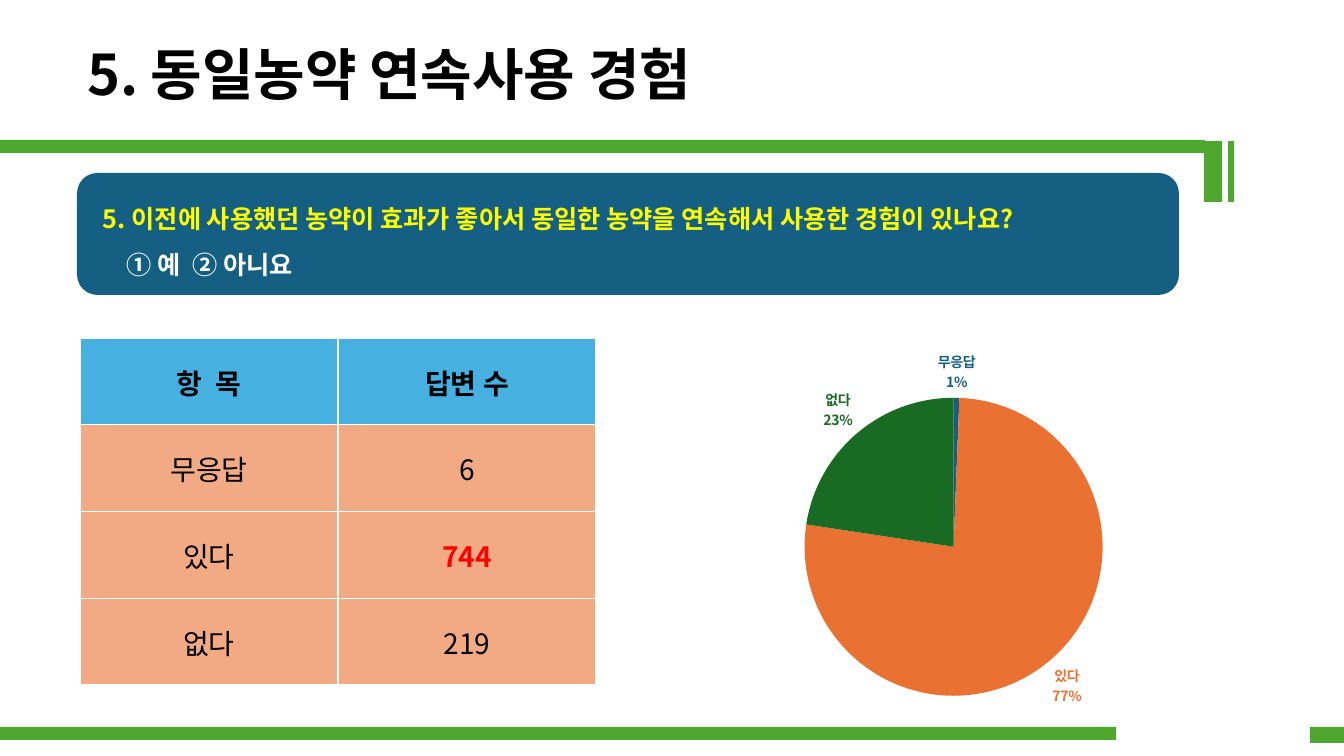
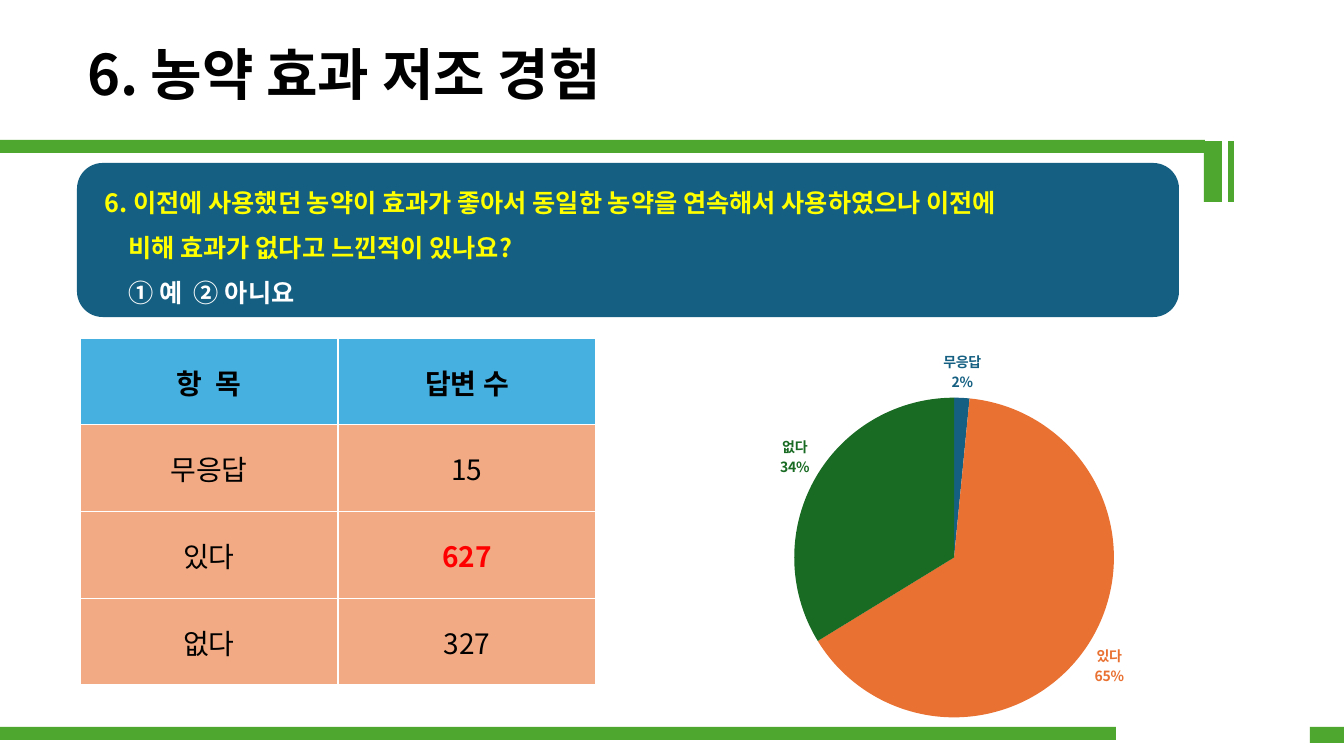
"""Builds two survey result slides, each with a question, an answer table and a pie chart."""
import dataclasses

import lxml.etree
import pptx
import pptx.chart.data
import pptx.dml.color
import pptx.enum.chart
import pptx.enum.shapes
import pptx.enum.text
import pptx.oxml
import pptx.oxml.ns
import pptx.util

HEADERS = ("항  목", "답변 수")
ANSWERS = ("무응답", "있다", "없다")
CHOICES = "① 예  ② 아니요"
KEY_ANSWER = "있다"
SURVEYS = [
    {
        "title": "5. 동일농약 연속사용 경험",
        "question": ["5. 이전에 사용했던 농약이 효과가 좋아서 동일한 농약을 연속해서 사용한 경험이 있나요?"],
        "question_area": (77, 173, 1102, 122),
        "counts": (6, 744, 219),
    },
    {
        "title": "6. 농약 효과 저조 경험",
        "question": [
            "6. 이전에 사용했던 농약이 효과가 좋아서 동일한 농약을 연속해서 사용하였으나 이전에",
            "비해 효과가 없다고 느낀적이 있나요?",
        ],
        "question_area": (77, 163, 1102, 154),
        "counts": (15, 627, 327),
    },
]

PAGE_SIZE = (1344, 756)
TITLE_AREA = (77, 34, 1102, 78)
TABLE_AREA = (80, 338, 516, 347)
CHART_AREA = (596, 338, 714, 397)
BANDS = [
    (0, 727, 1116, 13),
    (1310, 727, 34, 16),
    (0, 140, 1205, 13),
    (1204, 141, 18, 61),
    (1228, 141, 6, 61),
]
FIRST_INDENT, NEXT_INDENT = 10, 34


@dataclasses.dataclass(frozen=True)
class Theme:
    """Fonts, type sizes and colours of the deck."""

    font: str = "Noto Sans CJK KR"
    title_size: int = 40
    question_size: int = 18
    table_size: int = 20
    label_size: int = 10
    ink: str = "000000"
    paper: str = "FFFFFF"
    band: str = "4EA72E"
    panel: str = "156082"
    question: str = "FFFF00"
    header: str = "46B1E1"
    body: str = "F2AA84"
    highlight: str = "FF0000"
    slices: tuple = ("156082", "E97132", "196B24")


THEME = Theme()


def px(length):
    """Turn pixels into EMU."""
    return pptx.util.Emu(round(length * 914400 / 100.8))


def place(area):
    """Turn a pixel area into EMU."""
    return [px(length) for length in area]


def paint(fill, color):
    """Give a fill one solid colour."""
    fill.solid()
    fill.fore_color.rgb = pptx.dml.color.RGBColor.from_string(color)


def style(font, size, color, bold=True):
    """Set typeface, size, colour and weight."""
    font.name = THEME.font
    font.size = pptx.util.Pt(size)
    font.bold = bold
    paint(font.fill, color)
    east_asian = lxml.etree.SubElement(font._rPr, pptx.oxml.ns.qn("a:ea"))
    east_asian.set("typeface", THEME.font)


def add_block(page, kind, area, color):
    """Add a flat shape without outline."""
    block = page.shapes.add_shape(kind, *place(area))
    block.shadow.inherit = False
    paint(block.fill, color)
    block.line.fill.background()
    return block


def add_title(page, text):
    """Fill and place the title."""
    title = page.shapes.title
    title.left, title.top, title.width, title.height = place(TITLE_AREA)
    frame = title.text_frame
    frame.text = text
    frame.word_wrap = True
    frame.auto_size = pptx.enum.text.MSO_AUTO_SIZE.NONE
    frame.vertical_anchor = pptx.enum.text.MSO_ANCHOR.MIDDLE
    para = frame.paragraphs[0]
    para.alignment = pptx.enum.text.PP_ALIGN.LEFT
    style(para.runs[0].font, THEME.title_size, THEME.ink)


def add_question(page, lines, area):
    """Add the panel with the question and its choices."""
    panel = add_block(page, pptx.enum.shapes.MSO_SHAPE.ROUNDED_RECTANGLE, area, THEME.panel)
    frame = panel.text_frame
    frame.text = "\n".join([*lines, CHOICES])
    frame.word_wrap = True
    frame.vertical_anchor = pptx.enum.text.MSO_ANCHOR.MIDDLE
    for index, para in enumerate(frame.paragraphs):
        indent = NEXT_INDENT if index else FIRST_INDENT
        para._p.get_or_add_pPr().set("marL", str(px(indent)))
        para.alignment = pptx.enum.text.PP_ALIGN.LEFT
        para.line_spacing = 1.5
        color = THEME.question if index < len(lines) else THEME.paper
        style(para.runs[0].font, THEME.question_size, color)


def add_borders(cell):
    """Draw a thin border on all four sides of a cell."""
    for side in ("lnL", "lnR", "lnT", "lnB"):
        cell._tc.get_or_add_tcPr().append(pptx.oxml.parse_xml(
            f'<a:{side} {pptx.oxml.ns.nsdecls("a")} w="12700"><a:solidFill>'
            f'<a:srgbClr val="{THEME.paper}"/></a:solidFill></a:{side}>'
        ))


def add_answers(page, counts):
    """Add the table of answer counts."""
    rows = [HEADERS, *zip(ANSWERS, counts)]
    table = page.shapes.add_table(len(rows), len(HEADERS), *place(TABLE_AREA)).table
    for row_index, values in enumerate(rows):
        for column_index, value in enumerate(values):
            cell = table.cell(row_index, column_index)
            is_header = row_index == 0
            is_key = column_index == 1 and values[0] == KEY_ANSWER
            add_borders(cell)
            paint(cell.fill, THEME.header if is_header else THEME.body)
            cell.margin_left = cell.margin_right = cell.margin_top = px(1)
            cell.margin_bottom = 0
            cell.vertical_anchor = pptx.enum.text.MSO_ANCHOR.MIDDLE
            cell.text_frame.text = str(value)
            para = cell.text_frame.paragraphs[0]
            para.alignment = pptx.enum.text.PP_ALIGN.CENTER
            color = THEME.highlight if is_key else THEME.ink
            style(para.runs[0].font, THEME.table_size, color, is_header or is_key)


def show_name_and_share(label_xml):
    """Make a point label show category and percentage on two lines."""
    for tag, value in (("showVal", "0"), ("showCatName", "1"), ("showPercent", "1")):
        label_xml.find(pptx.oxml.ns.qn(f"c:{tag}")).set("val", value)
    separator = lxml.etree.SubElement(label_xml, pptx.oxml.ns.qn("c:separator"))
    separator.text = "\n"


def add_pie(page, counts):
    """Add the pie chart of answer shares."""
    data = pptx.chart.data.CategoryChartData()
    data.categories = ANSWERS
    data.add_series("Series 1", counts)
    kind = pptx.enum.chart.XL_CHART_TYPE.PIE
    chart = page.shapes.add_chart(kind, *place(CHART_AREA), data).chart
    chart.has_title = False
    chart.has_legend = False
    style(chart.font, THEME.label_size, THEME.ink)
    chart.plots[0].vary_by_categories = True
    series = chart.plots[0].series[0]
    outside = pptx.enum.chart.XL_LABEL_POSITION.OUTSIDE_END
    labels = series.data_labels
    labels.show_value = False
    labels.show_category_name = labels.show_percentage = True
    labels.position = outside
    for index, color in enumerate(THEME.slices):
        point = series.points[index]
        paint(point.format.fill, color)
        point.format.line.fill.background()
        style(point.data_label.font, THEME.label_size, color)
        point.data_label.position = outside
    for label_xml in series._element.iter(pptx.oxml.ns.qn("c:dLbl")):
        show_name_and_share(label_xml)


def main():
    """Build and save the deck."""
    deck = pptx.Presentation()
    deck.slide_width, deck.slide_height = place(PAGE_SIZE)
    for survey in SURVEYS:
        page = deck.slides.add_slide(deck.slide_layouts[5])
        add_title(page, survey["title"])
        add_question(page, survey["question"], survey["question_area"])
        add_answers(page, survey["counts"])
        add_pie(page, survey["counts"])
        for area in BANDS:
            add_block(page, pptx.enum.shapes.MSO_SHAPE.RECTANGLE, area, THEME.band)
    deck.save("out.pptx")


if __name__ == "__main__":
    main()
